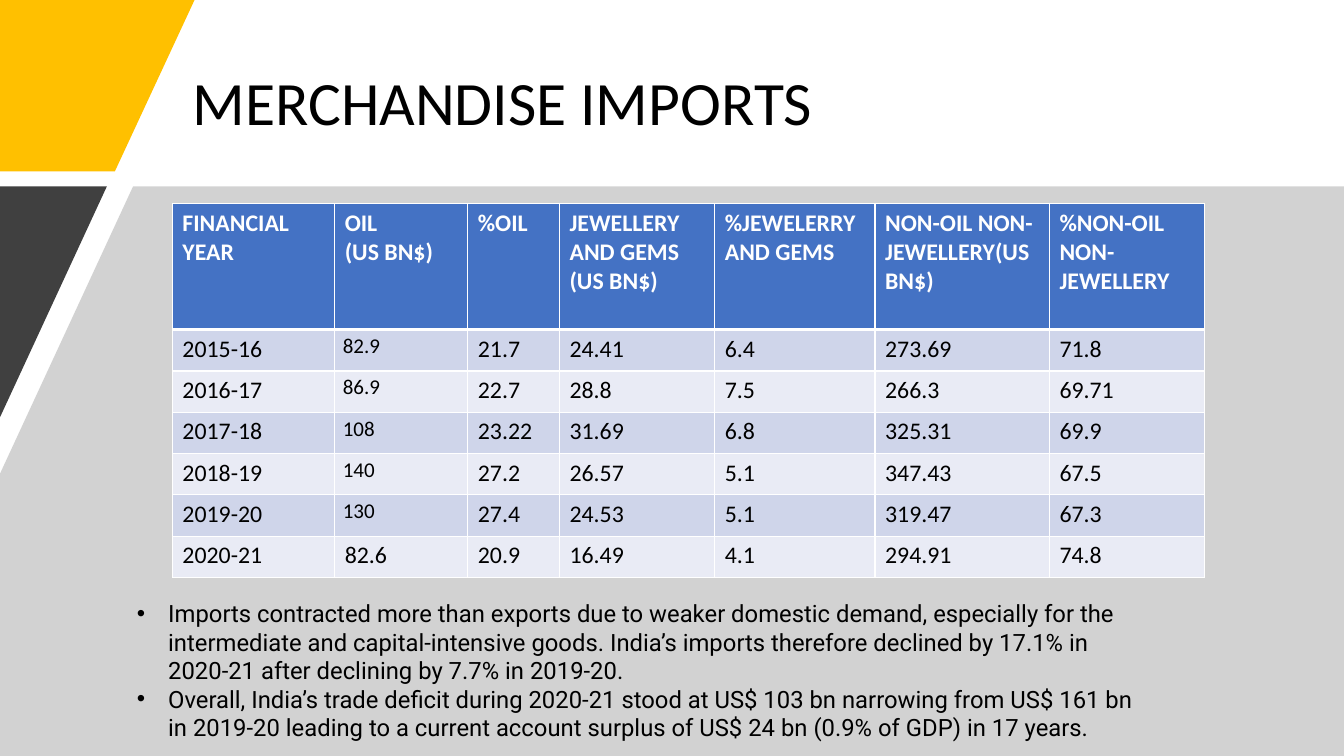
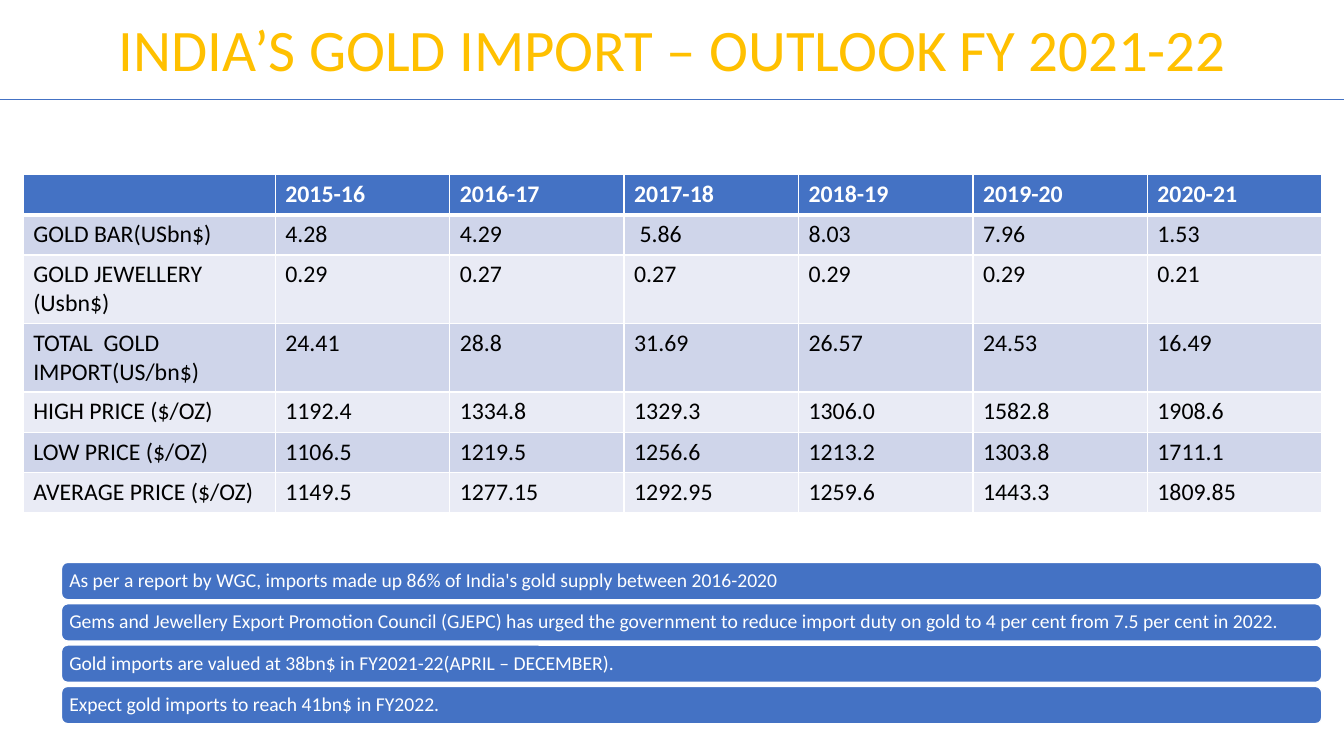
from lxml import etree
from pptx import Presentation
from pptx.dml.color import RGBColor
from pptx.enum.shapes import MSO_CONNECTOR as Connector, MSO_SHAPE as Shape
from pptx.enum.text import MSO_ANCHOR as Anchor, MSO_AUTO_SIZE as AutoSize, PP_ALIGN as Align
from pptx.oxml.ns import qn
from pptx.util import Inches, Pt

WHITE, BLACK, BLUE, GOLD = "FFFFFF", "000000", "4472C4", "FFC000"
BANDS = ["E9EBF5", "CFD5EA"]


def color(target, value):
    target.rgb = RGBColor.from_string(value)


def write(frame, text, size=17, font="Calibri", ink=BLACK, bold=False, align=Align.LEFT,
          anchor=Anchor.TOP, spacing=None, bullet=None):
    frame.word_wrap = True
    frame.vertical_anchor = anchor
    for index, line in enumerate(text.split("\n")):
        paragraph = frame.add_paragraph() if index else frame.paragraphs[0]
        paragraph.alignment = align
        if spacing:
            paragraph.line_spacing = spacing
        if bullet:
            properties = paragraph._p.get_or_add_pPr()
            properties.set("marL", str(Inches(0.31)))
            properties.set("indent", str(-Inches(0.31)))
            etree.SubElement(properties, qn("a:buFont"), typeface="Arial")
            etree.SubElement(properties, qn("a:buChar"), char=bullet)
        run = paragraph.add_run()
        run.text = line
        run.font.size = Pt(size)
        run.font.name = font
        run.font.bold = bold
        color(run.font.color, ink)


deck = Presentation()
deck.slide_width, deck.slide_height = Inches(13.33), Inches(7.5)

merchandise_rows = [
    ["FINANCIAL\nYEAR", "OIL\n(US BN$)", "%OIL", "JEWELLERY AND GEMS\n(US BN$)",
     "%JEWELERRY AND GEMS", "NON-OIL NON-JEWELLERY(US BN$)", "%NON-OIL NON-JEWELLERY"],
    ["2015-16", "82.9", "21.7", "24.41", "6.4", "273.69", "71.8"],
    ["2016-17", "86.9", "22.7", "28.8", "7.5", "266.3", "69.71"],
    ["2017-18", "108", "23.22", "31.69", "6.8", "325.31", "69.9"],
    ["2018-19", "140", "27.2", "26.57", "5.1", "347.43", "67.5"],
    ["2019-20", "130", "27.4", "24.53", "5.1", "319.47", "67.3"],
    ["2020-21", "82.6", "20.9", "16.49", "4.1", "294.91", "74.8"],
]
gold_rows = [
    ["", "2015-16", "2016-17", "2017-18", "2018-19", "2019-20", "2020-21"],
    ["GOLD BAR(USbn$)", "4.28", "4.29", " 5.86", "8.03", "7.96", "1.53"],
    ["GOLD JEWELLERY (Usbn$)", "0.29", "0.27", "0.27", "0.29", "0.29", "0.21"],
    ["TOTAL  GOLD IMPORT(US/bn$)", "24.41", "28.8", "31.69", "26.57", "24.53", "16.49"],
    ["HIGH PRICE ($/OZ)", "1192.4", "1334.8", "1329.3", "1306.0", "1582.8", "1908.6"],
    ["LOW PRICE ($/OZ)", "1106.5", "1219.5", "1256.6", "1213.2", "1303.8", "1711.1"],
    ["AVERAGE PRICE ($/OZ)", "1149.5", "1277.15", "1292.95", "1259.6", "1443.3", "1809.85"],
]
pages = [
    ("MERCHANDISE IMPORTS", (1.81, 0.4, 10.24, 1.3), dict(size=44),
     merchandise_rows, (1.71, 2.02), [1.61, 1.32, 0.91, 1.54, 1.59, 1.73, 1.54],
     [1.25] + [0.41] * 6),
    ("INDIA’S GOLD IMPORT – OUTLOOK FY 2021-22", (0.92, -0.2, 11.5, 1.45),
     dict(size=42, ink=GOLD, align=Align.CENTER),
     gold_rows, (0.23, 1.73), [2.5] + [1.73] * 6, [0.4, 0.4, 0.68, 0.68, 0.4, 0.4, 0.4]),
]

slides = []
tables = []
for heading, heading_box, heading_format, rows, corner, widths, heights in pages:
    slide = deck.slides.add_slide(deck.slide_layouts[5])
    slides.append(slide)
    title = slide.shapes.title
    title.left, title.top, title.width, title.height = map(Inches, heading_box)
    title.text_frame.auto_size = AutoSize.NONE
    write(title.text_frame, heading, anchor=Anchor.MIDDLE, spacing=0.9, **heading_format)

    table = slide.shapes.add_table(len(rows), len(widths), *map(
        Inches, (*corner, sum(widths), sum(heights)))).table
    tables.append(table)
    table.horz_banding = False
    for column, width in zip(table.columns, widths):
        column.width = Inches(width)
    for r, (values, height) in enumerate(zip(rows, heights)):
        table.rows[r].height = Inches(height)
        for c, value in enumerate(values):
            cell = table.cell(r, c)
            small = rows is merchandise_rows and c == 1 and 0 < r < 6
            if small:
                cell.margin_left = cell.margin_right = Inches(0.08)
                cell.margin_top = cell.margin_bottom = Inches(0.04)
            write(cell.text_frame, value, size=15 if small else 17,
                  ink=BLACK if r else WHITE, bold=r == 0)
            for side in ("L", "R", "T", "B"):
                thick = (r, side) in ((0, "B"), (1, "T"))
                border = etree.SubElement(cell._tc.get_or_add_tcPr(), qn("a:ln" + side),
                                          w=str(Pt(3 if thick else 1)))
                border_fill = etree.SubElement(border, qn("a:solidFill"))
                etree.SubElement(border_fill, qn("a:srgbClr"), val=WHITE)
            cell.fill.solid()
            color(cell.fill.fore_color, BANDS[r % 2] if r else BLUE)

merchandise, gold = slides

panels = [
    ([(0, 0), (1.93, 0), (1.14, 1.7), (0, 1.7)], GOLD, None),
    ([(1.32, 1.85), (13.33, 1.85), (13.33, 7.5), (0, 7.5), (0, 4.7)], "A6A6A6", 50),
    ([(0, 1.85), (1.06, 1.85), (0, 4.14)], "404040", None),
]
for depth, (points, tint, opacity) in enumerate(panels):
    corners = [(Inches(x), Inches(y)) for x, y in points]
    builder = merchandise.shapes.build_freeform(*corners[0])
    builder.add_line_segments(corners[1:], close=True)
    panel = builder.convert_to_shape()
    panel.shadow.inherit = False
    panel.line.fill.background()
    panel.fill.solid()
    color(panel.fill.fore_color, tint)
    if opacity:
        tint_element = panel._element.spPr.find(".//" + qn("a:srgbClr"))
        etree.SubElement(tint_element, qn("a:alpha"), val=str(opacity * 1000))
    merchandise.shapes._spTree.insert(2 + depth, panel._element)

remarks = merchandise.shapes.add_textbox(Inches(1.26), Inches(5.89), Inches(10.26), Inches(1.58))
remarks.text_frame.auto_size = AutoSize.SHAPE_TO_FIT_TEXT
write(remarks.text_frame,
      "Imports contracted more than exports due to weaker domestic demand, especially for the "
      "intermediate and capital-intensive goods. India’s imports therefore declined by 17.1% in "
      "2020-21 after declining by 7.7% in 2019-20.\n"
      "Overall, India’s trade deficit during 2020-21 stood at US$ 103 bn narrowing from US$ 161 bn "
      "in 2019-20 leading to a current account surplus of US$ 24 bn (0.9% of GDP) in 17 years.",
      font="Roboto", bullet="•")

outlook_points = [
    "As per a report by WGC, imports made up 86% of India's gold supply between 2016-2020",
    "Gems and Jewellery Export Promotion Council (GJEPC) has urged the government to reduce "
    "import duty on gold to 4 per cent from 7.5 per cent in 2022.",
    "Gold imports are valued at 38bn$ in FY2021-22(APRIL – DECEMBER).",
    "Expect gold imports to reach 41bn$ in FY2022.",
]
for index, point in enumerate(outlook_points):
    bar = gold.shapes.add_shape(Shape.ROUNDED_RECTANGLE, Inches(0.61), Inches(5.58 + 0.41 * index),
                                Inches(12.5), Inches(0.37))
    bar.shadow.inherit = False
    bar.fill.solid()
    color(bar.fill.fore_color, BLUE)
    color(bar.line.color, WHITE)
    bar.line.width = Pt(1)
    frame = bar.text_frame
    frame.margin_left = frame.margin_right = Inches(0.06)
    frame.margin_top = frame.margin_bottom = Inches(0.04)
    write(frame, point, size=14, ink=WHITE, anchor=Anchor.MIDDLE, spacing=0.9)

title_rule = gold.shapes.add_connector(Connector.STRAIGHT, 0, Inches(0.99),
                                       deck.slide_width, Inches(0.99))
color(title_rule.line.color, BLUE)
title_rule.line.width = Pt(0.5)
etree.SubElement(title_rule._element.spPr, qn("a:effectLst"))

deck.save("out.pptx")
